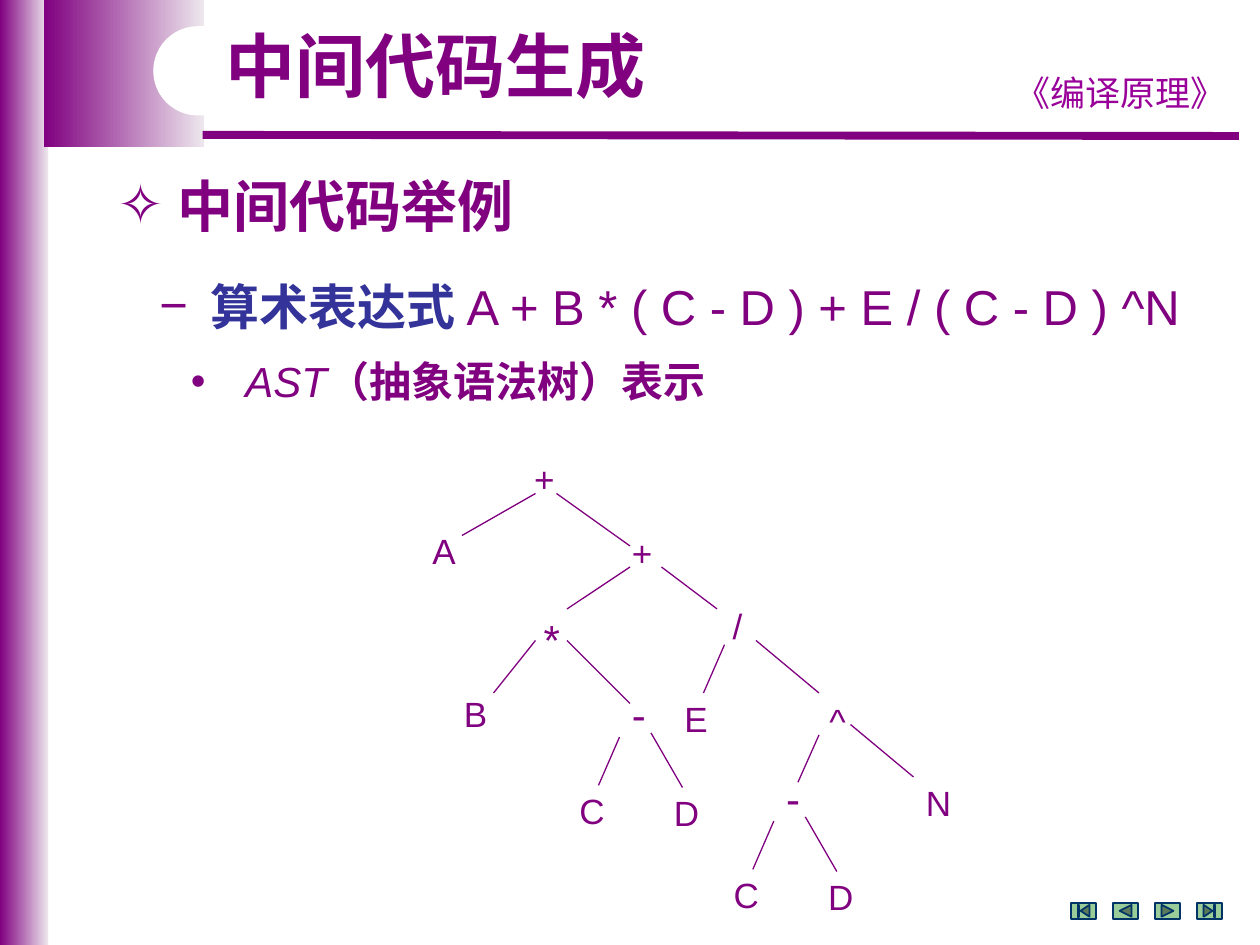
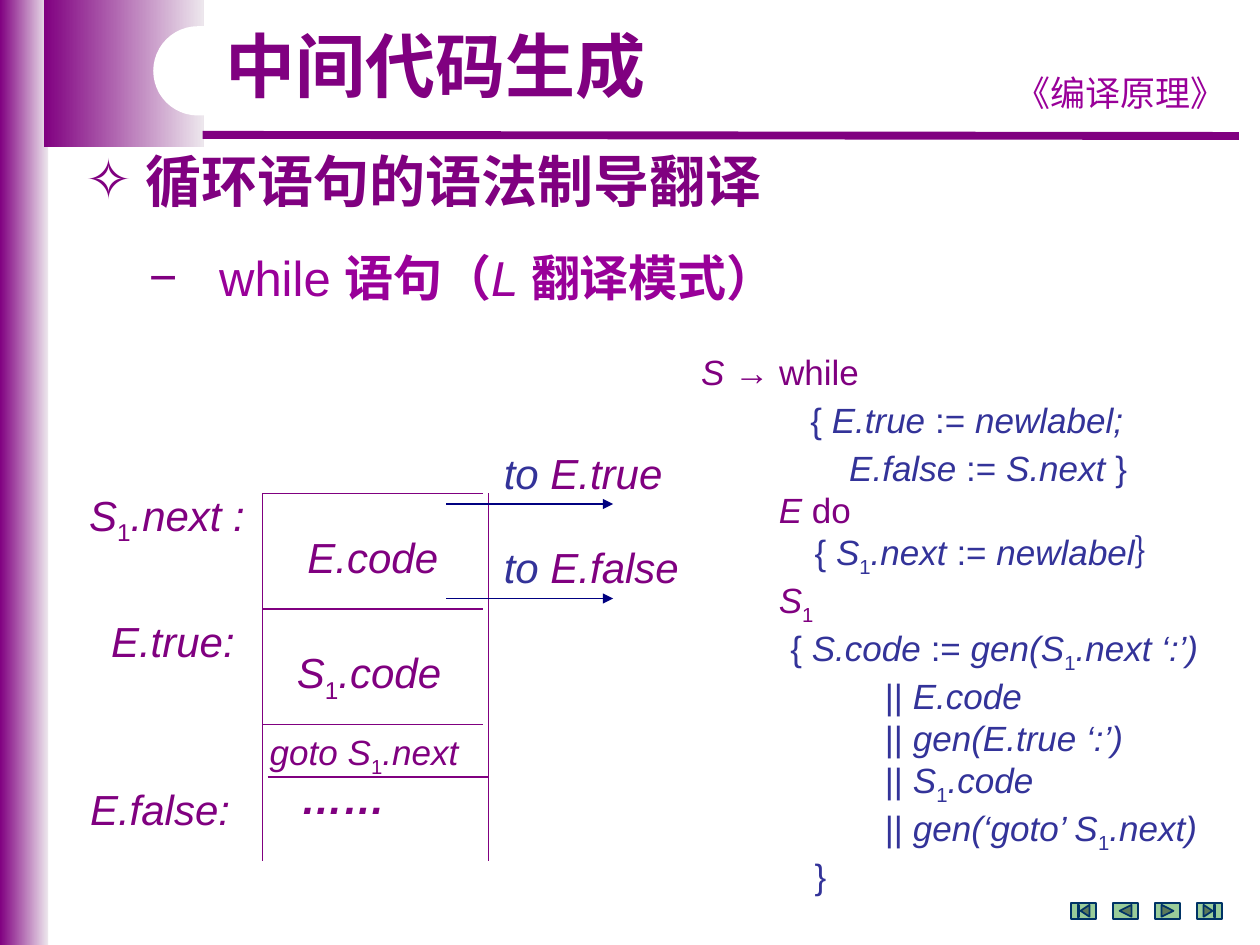
from lxml import etree
from pptx import Presentation
from pptx.dml.color import RGBColor
from pptx.enum.shapes import MSO_CONNECTOR, MSO_SHAPE
from pptx.enum.text import MSO_AUTO_SIZE, PP_ALIGN
from pptx.oxml.ns import qn
from pptx.util import Inches, Pt

STRAIGHT = MSO_CONNECTOR.STRAIGHT
RECTANGLE, PILL = MSO_SHAPE.RECTANGLE, MSO_SHAPE.ROUNDED_RECTANGLE
NAVIGATION = (MSO_SHAPE.ACTION_BUTTON_BEGINNING, MSO_SHAPE.ACTION_BUTTON_BACK_OR_PREVIOUS,
              MSO_SHAPE.ACTION_BUTTON_FORWARD_OR_NEXT, MSO_SHAPE.ACTION_BUTTON_END)
GROW = MSO_AUTO_SIZE.SHAPE_TO_FIT_TEXT
CENTER = PP_ALIGN.CENTER

COLORS = {
    "purple": "800080", "pale": "EDE7ED", "violet": "990099", "indigo": "333399",
    "navy": "000080", "white": "FFFFFF", "green": "99CC99", "teal": "003366",
}
LATIN, CHINESE = "Arial", "Noto Sans CJK SC"
COLUMNS, ROWS = 120, 90
BLANK_LAYOUT = 6


def color(name):
    return RGBColor.from_string(COLORS[name])


class Lecture:
    """Style and current slide; places are columns and rows of a 120 x 90 grid."""

    def __init__(self):
        self.deck = Presentation()
        self.deck.slide_width, self.deck.slide_height = Inches(10), Inches(7.5)
        self.column = self.deck.slide_width / COLUMNS
        self.row = self.deck.slide_height / ROWS
        self.page = None

    def grid(self, *place):
        """Turn alternating columns and rows into lengths."""
        units = (self.column, self.row)
        return [round(value * units[index % 2]) for index, value in enumerate(place)]

    def shape(self, kind, place, fill, line=None):
        shape = self.page.shapes.add_shape(kind, *self.grid(*place))
        shape.shadow.inherit = False
        shape.fill.solid()
        shape.fill.fore_color.rgb = color(fill)
        if line:
            shape.line.color.rgb = color(line)
            shape.line.width = Pt(1)
        else:
            shape.line.fill.background()
        return shape

    def band(self, place):
        """Rectangle that fades from purple to pale, left to right."""
        fill = self.shape(RECTANGLE, place, "purple").fill
        fill.gradient()
        fill.gradient_angle = 0
        for stop, name, position in zip(fill.gradient_stops, ("purple", "pale"), (0, 1)):
            stop.color.rgb = color(name)
            stop.position = position

    def line(self, place, name="purple", width=0.75, arrow=False):
        connector = self.page.shapes.add_connector(STRAIGHT, *self.grid(*place))
        connector.line.color.rgb = color(name)
        connector.line.width = Pt(width)
        properties = connector._element.spPr
        if arrow:
            etree.SubElement(properties.find(qn("a:ln")), qn("a:tailEnd"), type="triangle")
        etree.SubElement(properties, qn("a:effectLst"))

    def box(self, place, wrap=True):
        """Add an empty text box; return its frame and first paragraph."""
        frame = self.page.shapes.add_textbox(*self.grid(*place)).text_frame
        frame.word_wrap = wrap
        frame.auto_size = GROW
        return frame, frame.paragraphs[0]

    def add_spans(self, para, size, spans):
        """Add (text, style words) spans; words are bold, italic, sub or a colour."""
        for text, style in spans:
            words = style.split()
            span = para.add_run()
            span.text = text
            font = span.font
            font.name, font.size = LATIN, Pt(size)
            font.bold, font.italic = "bold" in words, "italic" in words
            name = next((word for word in words if word in COLORS), "purple")
            font.color.rgb = color(name)
            properties = span._r.get_or_add_rPr()
            etree.SubElement(properties, qn("a:ea"), typeface=CHINESE)
            if "sub" in words:
                properties.set("baseline", "-25000")

    def text(self, place, size, *spans, wrap=True):
        para = self.box(place, wrap)[1]
        self.add_spans(para, size, spans)
        return para

    def bullet(self, para, sign, margin, hang):
        """Hang a sign in front of a paragraph; lengths are in columns."""
        properties = para._p.get_or_add_pPr()
        properties.set("marL", str(self.grid(margin)[0]))
        properties.set("indent", str(self.grid(-hang)[0]))
        tint = etree.SubElement(properties, qn("a:buClr"))
        etree.SubElement(tint, qn("a:srgbClr"), val=COLORS["purple"])
        etree.SubElement(properties, qn("a:buFont"), typeface=LATIN)
        etree.SubElement(properties, qn("a:buChar"), char=sign)

    def heading(self, place, words):
        self.bullet(self.text(place, 32, (words, "bold")), "✧", 5.7, 5.7)

    def start_page(self, title):
        layout = self.deck.slide_layouts[BLANK_LAYOUT]
        self.page = self.deck.slides.add_slide(layout)
        self.band((0, 0, 4.6, ROWS))
        self.band((4.2, 0, 15.2, 14))
        self.line((19.3, 12.85, 118, 12.95), width=4.5)
        course = self.text((94.9, 6.2, 23.6, 5.2), 20, ("《编译原理》", "violet"))
        course.alignment = CENTER
        self.shape(PILL, (14.6, 2.5, 43.4, 8.5), "white").adjustments[0] = 0.5
        self.text((20.3, 2.5, 42.7, 8.4), 40, (title, "bold")).line_spacing = 0.9
        for index, kind in enumerate(NAVIGATION):
            self.shape(kind, (102 + 4 * index, 86, 2.4, 1.5), "green", "teal")


def draw_node(lecture, label, column, row):
    size = 24 if label in "*-" else 20
    lecture.text((column, row, 5, 5.2), size, (label, ""))


def draw_difference(lecture, column, row):
    """Subtree C - D, placed by its minus sign."""
    for label, right, down in (("-", 0, 0), ("C", -5, 9.6), ("D", 4, 9.8)):
        draw_node(lecture, label, column + right, row + down)
    for right, down, end_right, end_down in ((0, 5.2, -2, 9.8), (3, 4.8, 6, 10)):
        lecture.line((column + right, row + down, column + end_right, row + end_down))


def build_syntax_tree(lecture):
    lecture.start_page("中间代码生成")
    lecture.heading((10, 15.7, 93.6, 7.6), "中间代码举例")

    frame, para = lecture.box((14, 25.7, 103, 13.6))
    lecture.add_spans(para, 28, [("算术表达式 ", "bold indigo"),
                                 ("A + B * ( C - D ) + E / ( C - D ) ^N", "")])
    lecture.bullet(para, "−", 4.9, 4.9)
    para = frame.add_paragraph()
    para.space_before = Pt(12)
    lecture.add_spans(para, 24, [("AST", "italic"), ("（抽象语法树）表示", "bold")])
    lecture.bullet(para, "•", 8.2, 5.2)

    nodes = (("+", 49.7, 43), ("A", 40, 49.8), ("+", 59, 50), ("*", 50.6, 57.8),
             ("/", 68.6, 57), ("B", 43, 65.4), ("E", 64, 65.8), ("^", 77.8, 66),
             ("N", 87, 73.8))
    branches = ((51, 47, 44, 51), (53, 47, 60, 52), (60, 54, 54, 58), (63, 54, 68.3, 58),
                (51, 61, 47, 66), (54, 61, 60, 67), (69, 61.4, 67, 66), (72, 61, 78, 66),
                (78, 70, 76, 74.5), (81, 69, 87, 74))
    for node in nodes:
        draw_node(lecture, *node)
    for branch in branches:
        lecture.line(branch)
    draw_difference(lecture, 59, 65)
    draw_difference(lecture, 73.7, 73)


def draw_code_layout(lecture):
    left, right, top, bottom = 25, 46.5, 47, 82
    for column in (left, right):
        lecture.line((column, top, column, bottom))
    for row in (top, 58, 69):
        lecture.line((left, row, 46, row))
    lecture.line((25.5, 74, right, 74))

    one = ("1", "sub")
    labels = (
        ((28.1, 50, 14.9, 6), 24, [("E.code", "italic")]),
        ((27.1, 61, 16.3, 6), 24, [("S", "italic"), one, (".code", "italic")]),
        ((24.5, 69, 23.4, 5.2), 20, [("goto S", "italic"), one, (".next", "italic")]),
        ((27.5, 73, 10.4, 6), 24, [("……", "bold italic")]),
        ((7.3, 46, 17.6, 6), 24, [("S", "italic"), one, (".next :", "italic")]),
        ((9.4, 58, 14.2, 6), 24, [("E.true:", "italic")]),
        ((7.4, 74, 15.7, 6), 24, [("E.false:", "italic")]),
    )
    for place, size, spans in labels:
        lecture.text(place, size, *spans, wrap=False)
    for target, row, width in (("E.true", 42, 17.5), ("E.false", 51, 19.1)):
        lecture.text((46.8, row, width, 6), 24, ("to ", "italic indigo"),
                     (target, "italic"), wrap=False)
    for row in (48, 57):
        lecture.line((42.5, row, 58.4, row), "navy", arrow=True)


def add_translation_scheme(lecture):
    plain, slanted = "indigo", "italic indigo"
    one = ("1", "sub indigo")
    bars = ("|| ", plain)
    # Each line: indent in columns, space after in points, spans
    lines = (
        (0, 3.4, [("S ", "italic"), ("→ while", "")]),
        (10.4, 3.4, [("{ ", plain), ("E.true ", slanted), (":= ", plain),
                     ("newlabel;", slanted)]),
        (14.1, 0, [("E.false ", slanted), (":= ", plain), ("S.next", slanted),
                   (" }", plain)]),
        (7.4, 0, [("E", "italic"), (" do", "")]),
        (10.8, 0, [("{ ", plain), ("S", slanted), one, (".next ", slanted),
                   (":= ", plain), ("newlabel", slanted), ("｝", plain)]),
        (7.4, 0, [("S", "italic"), ("1", "sub")]),
        (8.5, 0, [("{ ", plain), ("S.code ", slanted), (":=", plain), (" gen(S", slanted),
                  one, (".next ‘:’)", slanted)]),
        (17.5, 0, [bars, ("E.code", slanted)]),
        (17.5, 0, [bars, ("gen(E.true ‘:’)", slanted)]),
        (17.5, 0, [bars, ("S", slanted), one, (".code", slanted)]),
        (17.5, 0, [bars, ("gen(‘goto’ S", slanted), one, (".next)", slanted)]),
        (10.8, 0, [("}", plain)]),
    )
    frame, para = lecture.box((65.6, 32.8, 52.6, 49.7))
    for index, (indent, after, spans) in enumerate(lines):
        if index:
            para = frame.add_paragraph()
        has_subscript = any("sub" in style for _, style in spans)
        para.line_spacing = Pt(27.4 if has_subscript else 24)
        para.space_after = Pt(after)
        para._p.get_or_add_pPr().set("marL", str(lecture.grid(indent)[0]))
        lecture.add_spans(para, 20, spans)


def build_while_translation(lecture):
    lecture.start_page("中间代码生成")
    lecture.heading((7, 13.4, 109, 7.6), "循环语句的语法制导翻译")
    para = lecture.text((13, 23, 90.5, 6.8), 28, ("while ", "violet"),
                        ("语句（", "bold violet"), ("L ", "italic violet"),
                        ("翻译模式）", "bold violet"))
    lecture.bullet(para, "−", 6.7, 6.7)
    draw_code_layout(lecture)
    add_translation_scheme(lecture)


def main():
    lecture = Lecture()
    build_syntax_tree(lecture)
    build_while_translation(lecture)
    lecture.deck.save("out.pptx")


if __name__ == "__main__":
    main()
